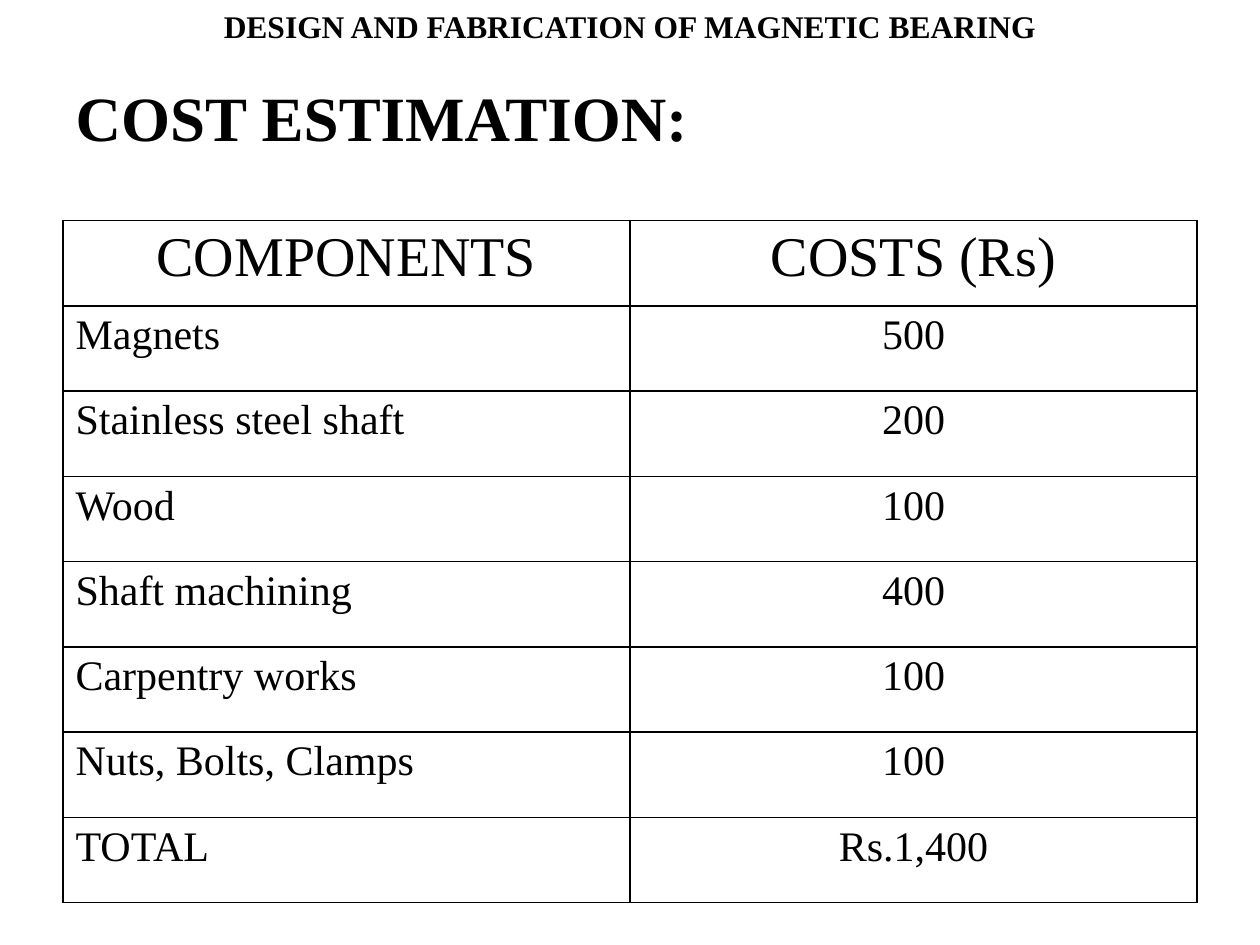
from dataclasses import dataclass

from lxml.etree import SubElement
from pptx import Presentation
from pptx.dml.color import RGBColor
from pptx.enum.text import MSO_ANCHOR as Anchor, MSO_AUTO_SIZE as AutoSize, PP_ALIGN as Align
from pptx.oxml.ns import qn
from pptx.util import Pt


@dataclass(frozen=True)
class Theme:
    font: str = "Times New Roman"
    ink: str = "000000"
    paper: str = "FFFFFF"
    banner_size: int = 18
    title_size: int = 36
    heading_size: int = 32
    entry_size: int = 24
    rule_width: int = 1


THEME = Theme()

COSTS = [
    ("COMPONENTS", "COSTS (Rs)"),
    ("Magnets", "500"),
    ("Stainless steel shaft", "200"),
    ("Wood", "100"),
    ("Shaft machining", "400"),
    ("Carpentry works", "100"),
    ("Nuts, Bolts, Clamps", "100"),
    ("TOTAL", "Rs.1,400"),
]


def write(frame, text, size, bold=False, align=Align.LEFT):
    paragraph = frame.paragraphs[0]
    paragraph.alignment = align
    run = paragraph.add_run()
    run.text = text
    run.font.name = THEME.font
    run.font.size = Pt(size)
    run.font.bold = bold
    run.font.color.rgb = RGBColor.from_string(THEME.ink)


def rule_cell(cell):
    properties = cell._tc.get_or_add_tcPr()
    for side in ("a:lnL", "a:lnR", "a:lnT", "a:lnB"):
        rule = SubElement(properties, qn(side), w=str(Pt(THEME.rule_width)))
        ink = SubElement(rule, qn("a:solidFill"))
        SubElement(ink, qn("a:srgbClr"), val=THEME.ink)
    cell.fill.background()


def add_banner(slide, left, top, width, height):
    banner = slide.shapes.add_textbox(Pt(left), Pt(top), Pt(width), Pt(height)).text_frame
    banner.word_wrap = True
    banner.auto_size = AutoSize.SHAPE_TO_FIT_TEXT
    write(banner, "DESIGN AND FABRICATION OF MAGNETIC BEARING",
          size=THEME.banner_size, bold=True, align=Align.CENTER)


def place_title(slide, left, top, width, height):
    title = slide.shapes.title
    title.left, title.top, title.width, title.height = map(Pt, (left, top, width, height))
    title.text_frame.vertical_anchor = Anchor.MIDDLE
    write(title.text_frame, "COST ESTIMATION:", size=THEME.title_size, bold=True)


def add_cost_table(slide, left, top, width, height):
    columns = len(COSTS[0])
    costs = slide.shapes.add_table(len(COSTS), columns, Pt(left), Pt(top),
                                   Pt(width), Pt(height)).table
    costs.first_row = costs.horz_banding = False
    for column in costs.columns:
        column.width = Pt(width / columns)
    for row_index, entries in enumerate(COSTS):
        costs.rows[row_index].height = Pt(height / len(COSTS))
        heading = row_index == 0
        for column_index, entry in enumerate(entries):
            cell = costs.cell(row_index, column_index)
            rule_cell(cell)
            centred = heading or column_index > 0
            write(cell.text_frame, entry,
                  size=THEME.heading_size if heading else THEME.entry_size,
                  align=Align.CENTER if centred else Align.LEFT)


def build_cost_slide(deck):
    slide = deck.slides.add_slide(deck.slide_layouts[5])
    slide.background.fill.solid()
    slide.background.fill.fore_color.rgb = RGBColor.from_string(THEME.paper)
    place_title(slide, left=36, top=21.6, width=648, height=90)
    add_cost_table(slide, left=36, top=126, width=648, height=390)
    add_banner(slide, left=0, top=0.7, width=720, height=29)


deck = Presentation()
deck.slide_width, deck.slide_height = Pt(720), Pt(540)
build_cost_slide(deck)
deck.save("out.pptx")
